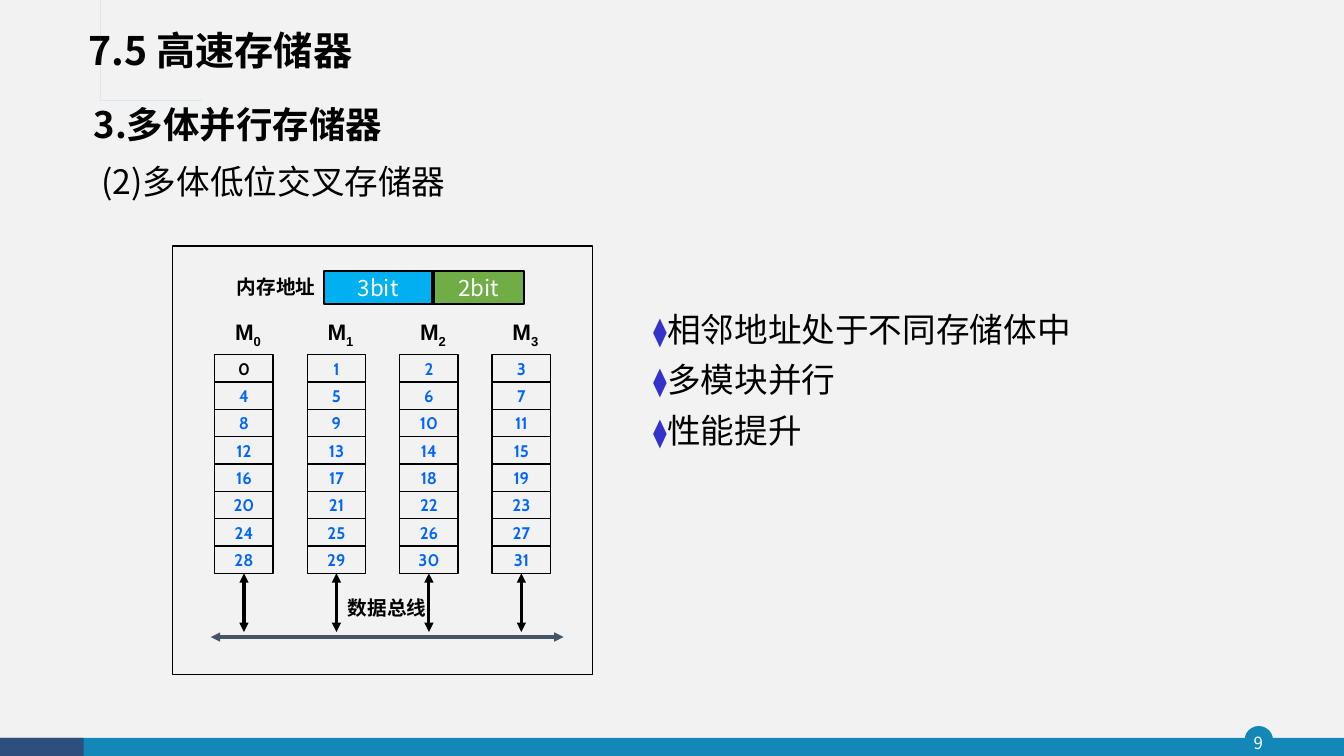
from lxml import etree
from pptx import Presentation, util as u
from pptx.dml.color import RGBColor
from pptx.enum import shapes, text
from pptx.oxml import ns

# Content
TITLE = "7.5 高速存储器"
SECTION = "3.多体并行存储器"
TOPIC = "(2)多体低位交叉存储器"
ADDRESS_LABEL, BUS_LABEL = "内存地址", "数据总线"
HIGH_BITS, LOW_BITS = "3bit", "2bit"
BENEFITS = ["相邻地址处于不同存储体中", "多模块并行", "性能提升"]
PAGE = "9"
BANKS, WORDS = 4, 8

# Colours and fonts
BLACK, WHITE = RGBColor(0, 0, 0), RGBColor(255, 255, 255)
PAPER = RGBColor(0xF2, 0xF2, 0xF2)
TEAL, NAVY = RGBColor(0x13, 0x87, 0xB7), RGBColor(0x2E, 0x4E, 0x7E)
ORNAMENT = RGBColor(0x28, 0xA9, 0xD6)
SKY, GREEN = RGBColor(0, 0xB0, 0xF0), RGBColor(0x70, 0xAD, 0x47)
NUMBER_BLUE, BUS_GREY = RGBColor(0, 0x66, 0xFF), RGBColor(0x44, 0x54, 0x6A)
HEAD_FONT, BODY_FONT = "Noto Sans CJK JP", "Noto Sans CJK SC"

# Bank grid, in inches
BANK_LEFT, BANK_STEP, CELL_W = 2.13, 0.917, 0.58
CELL_TOP, CELL_H = 3.52, 0.271
ARROW_END, BUS_Y = 6.27, 6.32

deck = Presentation()
deck.slide_width, deck.slide_height = u.Inches(13.33), u.Inches(7.5)
slide = deck.slides.add_slide(deck.slide_layouts[5])
slide.background.fill.solid()
slide.background.fill.fore_color.rgb = PAPER


def place(*lengths):
    return [u.Inches(length) for length in lengths]


def style(paragraph, size, font, color=BLACK, bold=False, align=None):
    paragraph.alignment = align
    for run in paragraph.runs:
        run.font.size, run.font.bold, run.font.name = u.Pt(size), bold, font
        run.font.color.rgb = color
        east_asian = HEAD_FONT if font == HEAD_FONT else BODY_FONT
        etree.SubElement(run.font._element, ns.qn("a:ea"), typeface=east_asian)


def add_label(box, wording, *look, align=None):
    label = slide.shapes.add_textbox(*place(*box))
    label.text_frame.word_wrap = True
    label.text_frame.text = wording
    style(label.text_frame.paragraphs[0], *look, align=align)
    return label


def add_block(box, fill=None, line=None, width=1, wording="", look=(),
              kind=shapes.MSO_SHAPE.RECTANGLE):
    block = slide.shapes.add_shape(kind, *place(*box))
    block.shadow.inherit = False
    if fill is None:
        block.fill.background()
    else:
        block.fill.solid()
        block.fill.fore_color.rgb = fill
    if line is None:
        block.line.fill.background()
    else:
        block.line.color.rgb, block.line.width = line, u.Pt(width)
    if wording:
        frame = block.text_frame
        frame.word_wrap, frame.vertical_anchor = False, text.MSO_ANCHOR.MIDDLE
        frame.text = wording
        style(frame.paragraphs[0], *look, align=text.PP_ALIGN.CENTER)
    return block


def add_double_arrow(x1, y1, x2, y2, color):
    arrow = slide.shapes.add_connector(shapes.MSO_CONNECTOR.STRAIGHT, *place(x1, y1, x2, y2))
    arrow.line.color.rgb, arrow.line.width = color, u.Pt(2.25)
    for end in ("a:headEnd", "a:tailEnd"):
        etree.SubElement(arrow.line._get_or_add_ln(), ns.qn(end), type="triangle")
    etree.SubElement(arrow._element.spPr, ns.qn("a:effectLst"))
    return arrow


# Footer with page number
add_block((12.35, 7.21, 0.27, 0.27), TEAL, TEAL, kind=shapes.MSO_SHAPE.OVAL)
add_block((0, 7.32, 13.33, 0.18), TEAL)
add_block((0, 7.32, 0.83, 0.18), NAVY)
page = add_label((12.32, 7.21, 0.32, 0.31), PAGE, 12, BODY_FONT, WHITE,
                 align=text.PP_ALIGN.CENTER).text_frame
page.margin_left = page.margin_right = page.margin_top = page.margin_bottom = 0
page.vertical_anchor = text.MSO_ANCHOR.MIDDLE

# Title ornament
outline = [(0.54, 0.39), (0.54, 0.85), (1.87, 0.85), (1.87, 0.87), (0.52, 0.87),
           (0.52, 0.41), (0.47, 0.41), (0.47, 0.87), (0.36, 0.87), (0.36, 0.39),
           (0.39, 0.39), (0.39, 0.84), (0.44, 0.84), (0.44, 0.39)]
builder = slide.shapes.build_freeform(*outline[0], scale=u.Inches(1))
builder.add_line_segments(outline[1:], close=True)
ornament = builder.convert_to_shape()
ornament.shadow.inherit = False
ornament.fill.solid()
ornament.fill.fore_color.rgb = ORNAMENT
ornament.line.fill.background()

# Headings
title = slide.shapes.title
title.left, title.top, title.width, title.height = place(0.78, 0.18, 4.78, 0.68)
title.text_frame.text = TITLE
title.text_frame.auto_size = text.MSO_AUTO_SIZE.NONE
title.text_frame.vertical_anchor = text.MSO_ANCHOR.MIDDLE
title.text_frame.paragraphs[0].line_spacing = 0.9
style(title.text_frame.paragraphs[0], 28, HEAD_FONT, BLACK, True, text.PP_ALIGN.LEFT)
add_label((0.83, 0.96, 3.89, 0.54), SECTION, 26, HEAD_FONT, BLACK, True)
add_label((0.91, 1.55, 4.26, 0.5), TOPIC, 24, HEAD_FONT)

# Diagram frame and address fields
add_block((1.71, 2.44, 4.17, 4.25), line=BLACK)
add_label((2.2, 2.68, 1.08, 0.33), ADDRESS_LABEL, 14, "Arial", BLACK, True,
          align=text.PP_ALIGN.CENTER)
for left, width, fill, bits in [(4.3, 0.9, GREEN, LOW_BITS), (3.21, 1.08, SKY, HIGH_BITS)]:
    add_block((left, 2.69, width, 0.33), fill, BLACK, 1.5, bits, (16, BODY_FONT, WHITE))

# Memory banks: consecutive addresses go to consecutive banks
for bank in range(BANKS):
    left = BANK_LEFT + bank * BANK_STEP
    heading = add_label((left + 0.08, 3.11, 0.5, 0.37), "M", 16, "Arial", BLACK, True,
                        align=text.PP_ALIGN.CENTER).text_frame.paragraphs[0]
    heading.add_run().text = str(bank)
    style(heading, 16, "Arial", BLACK, True, text.PP_ALIGN.CENTER)
    heading.runs[0].font._element.remove(heading.runs[0].font._element[-1])
    heading.runs[1].font._element.set("baseline", "-25000")
    for word in range(WORDS):
        address = word * BANKS + bank
        color = NUMBER_BLUE if address else BLACK
        cell = add_block((left, CELL_TOP + word * CELL_H, CELL_W, CELL_H), line=BLACK,
                         wording=str(address), look=(12, "Cabin", color, True))
    middle = left + CELL_W / 2
    link = add_double_arrow(middle, CELL_TOP + WORDS * CELL_H, middle, ARROW_END, BLACK)
    link.begin_connect(cell, 2)

# Data bus
add_double_arrow(2.09, BUS_Y, 5.59, BUS_Y, BUS_GREY)
add_label((3.3, 5.86, 1.08, 0.33), BUS_LABEL, 14, "Cabin", BLACK, True,
          align=text.PP_ALIGN.CENTER)

# Benefits with diamond bullets
benefits = slide.shapes.add_textbox(*place(6.38, 2.88, 5.12, 1.72)).text_frame
benefits.word_wrap = True
benefits.text = "\n".join(BENEFITS)
for index, benefit in enumerate(benefits.paragraphs):
    style(benefit, 24, "Arial")
    benefit.line_spacing = 0.9 if index else 1.35
    benefit.space_before = u.Pt(10 if index else 0)
    props = benefit._p.get_or_add_pPr()
    props.set("marL", str(u.Inches(0.14)))
    props.set("indent", str(-u.Inches(0.14)))
    bullet_color = etree.SubElement(props, ns.qn("a:buClr"))
    etree.SubElement(bullet_color, ns.qn("a:srgbClr"), val="3333CC")
    etree.SubElement(props, ns.qn("a:buSzPct"), val="83000")
    etree.SubElement(props, ns.qn("a:buFont"), typeface=BODY_FONT)
    etree.SubElement(props, ns.qn("a:buChar"), char="⧫")

deck.save("out.pptx")
